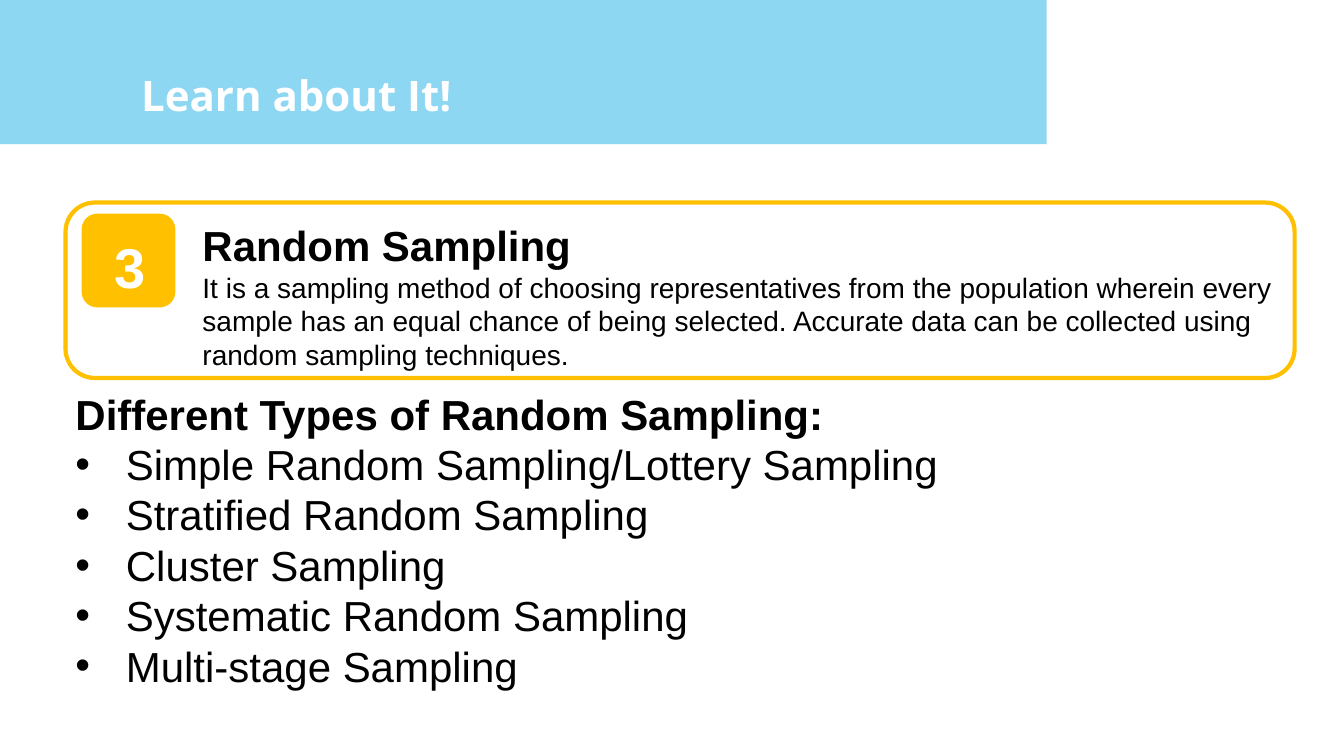
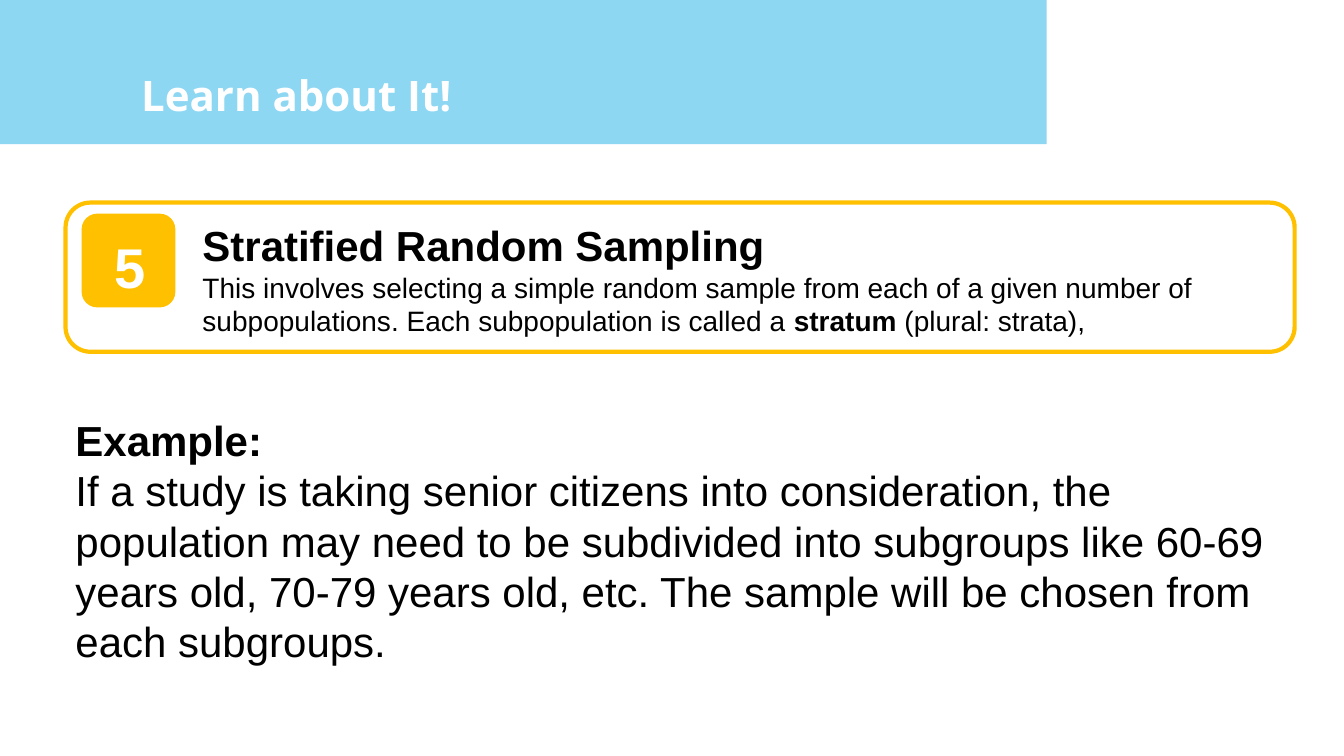
import pptx
import pptx.util
import pptx.dml.color
import pptx.enum.shapes
import pptx.enum.text
import pptx.oxml.ns
import lxml.etree

Inches = pptx.util.Inches
SHAPES = pptx.enum.shapes.MSO_SHAPE
COLORS = {"band": "8ED7F3", "accent": "FFC000", "text": "000000", "light": "FFFFFF"}
TITLE = "Learn about It!"
HEADING_SIZE = 30
INSET = 0.1

BAND_BOX = (0, 0, 10.38, 1.43)
TITLE_BOX = (1.3, 0.59, 5.67, 0.95)
CARD_LEFT, CARD_TOP, CARD_WIDTH = 0.65, 2.01, 12.19
BODY_HEIGHT = 3.15

SLIDES = [
    {
        "number": "3",
        "heading": "Random Sampling",
        "definition": [
            ("It is a sampling method of choosing representatives from the population "
             "wherein every sample has an equal chance of being selected. Accurate data "
             "can be collected using random sampling techniques.", False),
        ],
        "card_height": 1.74,
        "body_top": 3.75,
        "body_heading": "Different Types of Random Sampling:",
        "body": [
            "Simple Random Sampling/Lottery Sampling",
            "Stratified Random Sampling",
            "Cluster Sampling",
            "Systematic Random Sampling",
            "Multi-stage Sampling",
        ],
        "bulleted": True,
    },
    {
        "number": "5",
        "heading": "Stratified Random Sampling",
        "definition": [
            ("This involves selecting a simple random sample from each of a given number "
             "of subpopulations. Each subpopulation is called a ", False),
            ("stratum", True),
            (" (plural: strata),", False),
        ],
        "card_height": 1.48,
        "body_top": 4.01,
        "body_heading": "Example:",
        "body": [
            "If a study is taking senior citizens into consideration, the population may "
            "need to be subdivided into subgroups like 60-69 years old, 70-79 years old, "
            "etc. The sample will be chosen from each subgroups.",
        ],
        "bulleted": False,
    },
]


def rgb(name):
    return pptx.dml.color.RGBColor.from_string(COLORS[name])


def write_text(paragraph, text, size=HEADING_SIZE, bold=False, color="text", font="Arial"):
    paragraph.alignment = pptx.enum.text.PP_ALIGN.LEFT
    run = paragraph.add_run()
    run.text = text
    run.font.size = pptx.util.Pt(size)
    run.font.bold = bold
    run.font.name = font
    run.font.color.rgb = rgb(color)


def set_frame(shape, left=INSET, top=INSET):
    frame = shape.text_frame
    frame.word_wrap = True
    frame.auto_size = pptx.enum.text.MSO_AUTO_SIZE.NONE
    frame.vertical_anchor = pptx.enum.text.MSO_ANCHOR.TOP
    frame.margin_left, frame.margin_top = Inches(left), Inches(top)
    frame.margin_right = frame.margin_bottom = Inches(INSET)
    return frame


def add_text_frame(slide, box):
    return set_frame(slide.shapes.add_textbox(*map(Inches, box)))


def add_panel(slide, kind, box, fill=None, line=None):
    shape = slide.shapes.add_shape(kind, *map(Inches, box))
    shape.shadow.inherit = False
    if fill:
        shape.fill.solid()
        shape.fill.fore_color.rgb = rgb(fill)
    else:
        shape.fill.background()
    if line:
        shape.line.color.rgb = rgb(line)
        shape.line.width = pptx.util.Pt(3)
    else:
        shape.line.fill.background()
    return shape


def add_bullet(paragraph):
    properties = paragraph._p.get_or_add_pPr()
    properties.set("marL", str(Inches(0.5)))
    properties.set("indent", str(Inches(-0.5)))
    for tag, name, value in (("a:buFont", "typeface", "Arial"), ("a:buChar", "char", "•")):
        lxml.etree.SubElement(properties, pptx.oxml.ns.qn(tag)).set(name, value)


def add_header(slide):
    title = slide.shapes.title
    title.left, title.top, title.width, title.height = map(Inches, TITLE_BOX)
    frame = set_frame(title)
    write_text(frame.paragraphs[0], TITLE, bold=True, color="light", font="Open Sans")
    band = add_panel(slide, SHAPES.RECTANGLE, BAND_BOX, fill="band")
    title.element.addprevious(band.element)


def add_definition_card(slide, box, number, heading, definition):
    left, top, width, height = box
    add_panel(slide, SHAPES.ROUNDED_RECTANGLE, box, line="accent")

    text_box = (left + 1.26, top + 0.07, width - 1.37, height - 0.07)
    frame = add_text_frame(slide, text_box)
    write_text(frame.paragraphs[0], heading, bold=True)
    paragraph = frame.add_paragraph()
    for text, bold in definition:
        write_text(paragraph, text, size=20, bold=bold)

    badge_box = (left + 0.16, top + 0.11, 0.93, 0.93)
    badge = add_panel(slide, SHAPES.ROUNDED_RECTANGLE, badge_box, fill="accent")
    badge_frame = set_frame(badge, left=0.28, top=0.14)
    write_text(badge_frame.paragraphs[0], number, size=40, bold=True, color="light")


def add_body(slide, box, heading, lines, bulleted):
    frame = add_text_frame(slide, box)
    write_text(frame.paragraphs[0], heading, bold=True)
    for line in lines:
        paragraph = frame.add_paragraph()
        if bulleted:
            add_bullet(paragraph)
        write_text(paragraph, line)


def add_lesson_slide(presentation, content):
    slide = presentation.slides.add_slide(presentation.slide_layouts[5])
    add_header(slide)
    card_box = (CARD_LEFT, CARD_TOP, CARD_WIDTH, content["card_height"])
    add_definition_card(slide, card_box, content["number"], content["heading"],
                        content["definition"])
    body_box = (CARD_LEFT, content["body_top"], CARD_WIDTH, BODY_HEIGHT)
    add_body(slide, body_box, content["body_heading"], content["body"], content["bulleted"])


def main():
    presentation = pptx.Presentation()
    presentation.slide_width = Inches(13.33)
    presentation.slide_height = Inches(7.5)
    for content in SLIDES:
        add_lesson_slide(presentation, content)
    presentation.save("out.pptx")


if __name__ == "__main__":
    main()
